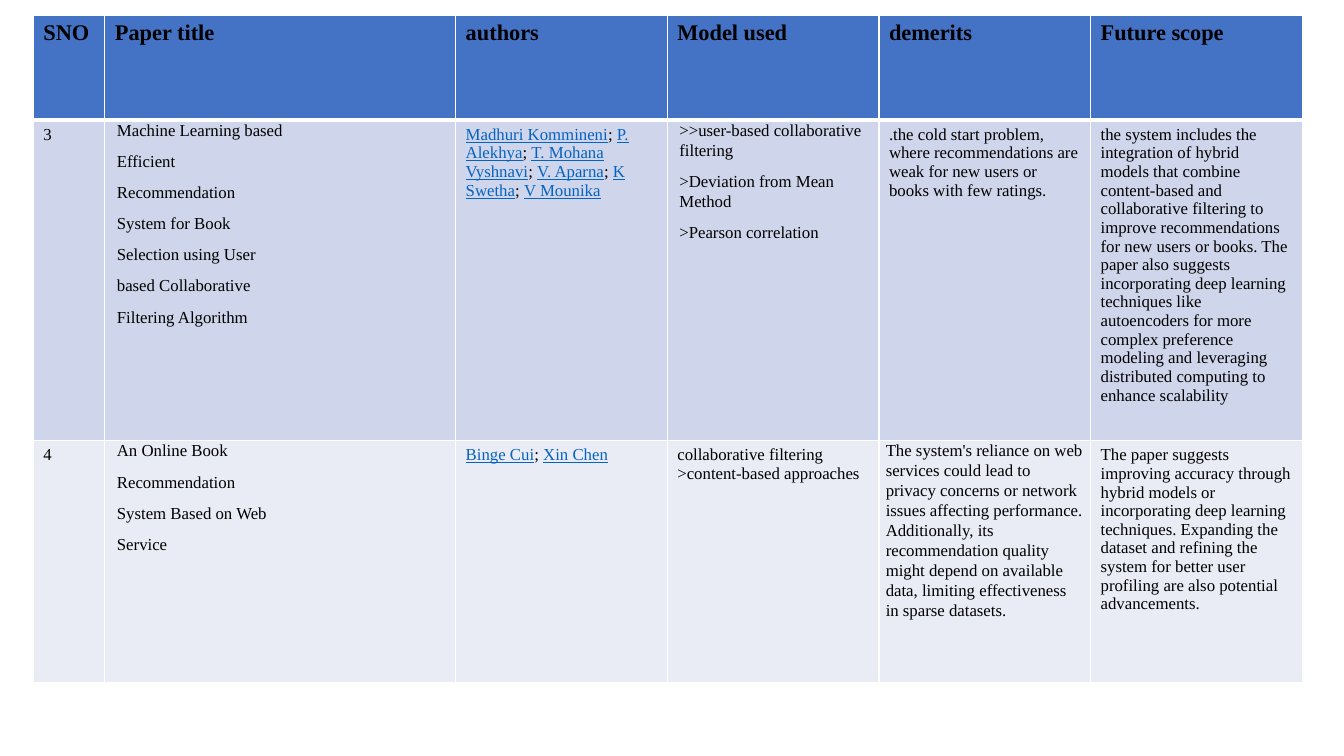
import pptx
import pptx.util
import pptx.dml.color
import pptx.oxml

Pt = pptx.util.Pt
COLOURS = {"header": "4472C4", "odd": "CFD5EA", "even": "E9EBF5",
           "border": "FFFFFF", "text": "000000", "link": "0563C1"}
FONT = "Times New Roman"
COLUMN_WIDTHS = [51.1, 250.6] + [151.2] * 4
ROW_HEIGHTS = [74.9, 229, 172.8]
HEADINGS = ["SNO", "Paper title", "authors", "Model used", "demerits", "Future scope"]
HEADER_FORMAT = {"name": FONT, "size": Pt(16), "bold": True, "underline": False}
BODY_FORMAT = {"name": FONT, "size": Pt(12), "bold": False, "underline": False}
LINK_FORMAT = {**BODY_FORMAT, "underline": True}
SPACED = {"line_spacing": 1.07, "space_after": Pt(8)}
WIDE_INSET, NARROW_INSET = 8.64, 4.9

PAPERS = [
    {
        "number": "3",
        "title": ["Machine Learning based", "Efficient", "Recommendation",
                  "System for Book", "Selection using User",
                  "based Collaborative", "Filtering Algorithm"],
        "authors": ["Madhuri Kommineni", "P. Alekhya", "T. Mohana Vyshnavi",
                    "V. Aparna", "K Swetha", "V Mounika"],
        "model": [">>user-based collaborative filtering",
                  ">Deviation from Mean Method", ">Pearson correlation"],
        "model_inset": WIDE_INSET,
        "demerits": ".the cold start problem, where recommendations are weak "
                    "for new users or books with few ratings.",
        "demerits_inset": None,
        "scope": "the system includes the integration of hybrid models that "
                 "combine content-based and collaborative filtering to improve "
                 "recommendations for new users or books. The paper also "
                 "suggests incorporating deep learning techniques like "
                 "autoencoders for more complex preference modeling and "
                 "leveraging distributed computing to enhance scalability",
    },
    {
        "number": "4",
        "title": ["An Online Book", "Recommendation", "System Based on Web", "Service"],
        "authors": ["Binge Cui", "Xin Chen"],
        "model": ["collaborative filtering >content-based approaches"],
        "model_inset": None,
        "demerits": "The system's reliance on web services could lead to privacy "
                    "concerns or network issues affecting performance. "
                    "Additionally, its recommendation quality might depend on "
                    "available data, limiting effectiveness in sparse datasets.",
        "demerits_inset": NARROW_INSET,
        "scope": "The paper suggests improving accuracy through hybrid models or "
                 "incorporating deep learning techniques. Expanding the dataset "
                 "and refining the system for better user profiling are also "
                 "potential advancements.",
    },
]


def apply_format(target, values):
    for name, value in values.items():
        setattr(target, name, value)


def colour(name):
    return pptx.dml.color.RGBColor.from_string(COLOURS[name])


def add_span(para, text, values, ink="text"):
    span = para.add_run()
    span.text = text
    apply_format(span.font, values)
    span.font.color.rgb = colour(ink)


def style_cell(cell, fill, top, bottom):
    cell.fill.solid()
    cell.fill.fore_color.rgb = colour(fill)
    properties = cell._tc.get_or_add_tcPr()
    widths = {"lnL": 1, "lnR": 1, "lnT": top, "lnB": bottom}
    for index, (side, width) in enumerate(widths.items()):
        properties.insert(index, pptx.oxml.parse_xml(
            f'<a:{side} xmlns:a="http://schemas.openxmlformats.org/drawingml/2006/main" '
            f'w="{Pt(width)}"><a:solidFill><a:srgbClr val="{COLOURS["border"]}"/>'
            f'</a:solidFill></a:{side}>'))


def write_lines(cell, lines, values=BODY_FORMAT, inset=None):
    if inset is not None:
        apply_format(cell, {"margin_left": Pt(inset), "margin_right": Pt(inset),
                            "margin_top": Pt(0), "margin_bottom": Pt(0)})
    for index, line in enumerate(lines):
        para = cell.text_frame.paragraphs[0] if index == 0 else cell.text_frame.add_paragraph()
        if inset is not None:
            apply_format(para, SPACED)
        add_span(para, line, values)


def write_authors(cell, authors):
    para = cell.text_frame.paragraphs[0]
    for index, author in enumerate(authors):
        if index:
            add_span(para, "; ", BODY_FORMAT)
        add_span(para, author, LINK_FORMAT, "link")


def write_paper(cells, paper):
    number, title, authors, model, demerits, scope = cells
    write_lines(number, [paper["number"]])
    write_lines(title, paper["title"], inset=WIDE_INSET)
    write_authors(authors, paper["authors"])
    write_lines(model, paper["model"], inset=paper["model_inset"])
    write_lines(demerits, [paper["demerits"]], inset=paper["demerits_inset"])
    write_lines(scope, [paper["scope"]])


def add_survey_table(page, left, top, width, height):
    table = page.shapes.add_table(len(ROW_HEIGHTS), len(COLUMN_WIDTHS),
                                  Pt(left), Pt(top), Pt(width), Pt(height)).table
    apply_format(table, {"first_row": False, "horz_banding": False})
    for column, share in zip(table.columns, COLUMN_WIDTHS):
        column.width = Pt(share * width / sum(COLUMN_WIDTHS))
    for row, share in zip(table.rows, ROW_HEIGHTS):
        row.height = Pt(share * height / sum(ROW_HEIGHTS))
    borders = [("header", 1, 3), ("odd", 3, 1), ("even", 1, 1)]
    for row, style in zip(table.rows, borders):
        for cell in row.cells:
            style_cell(cell, *style)
    header, *bodies = table.rows
    for cell, heading in zip(header.cells, HEADINGS):
        write_lines(cell, [heading], HEADER_FORMAT)
    for row, paper in zip(bodies, PAPERS):
        write_paper(row.cells, paper)


def main():
    deck = pptx.Presentation()
    apply_format(deck, {"slide_width": Pt(960), "slide_height": Pt(540)})
    page = deck.slides.add_slide(deck.slide_layouts[6])
    add_survey_table(page, 23.8, 10.9, sum(COLUMN_WIDTHS), sum(ROW_HEIGHTS))
    deck.save("out.pptx")


if __name__ == "__main__":
    main()
